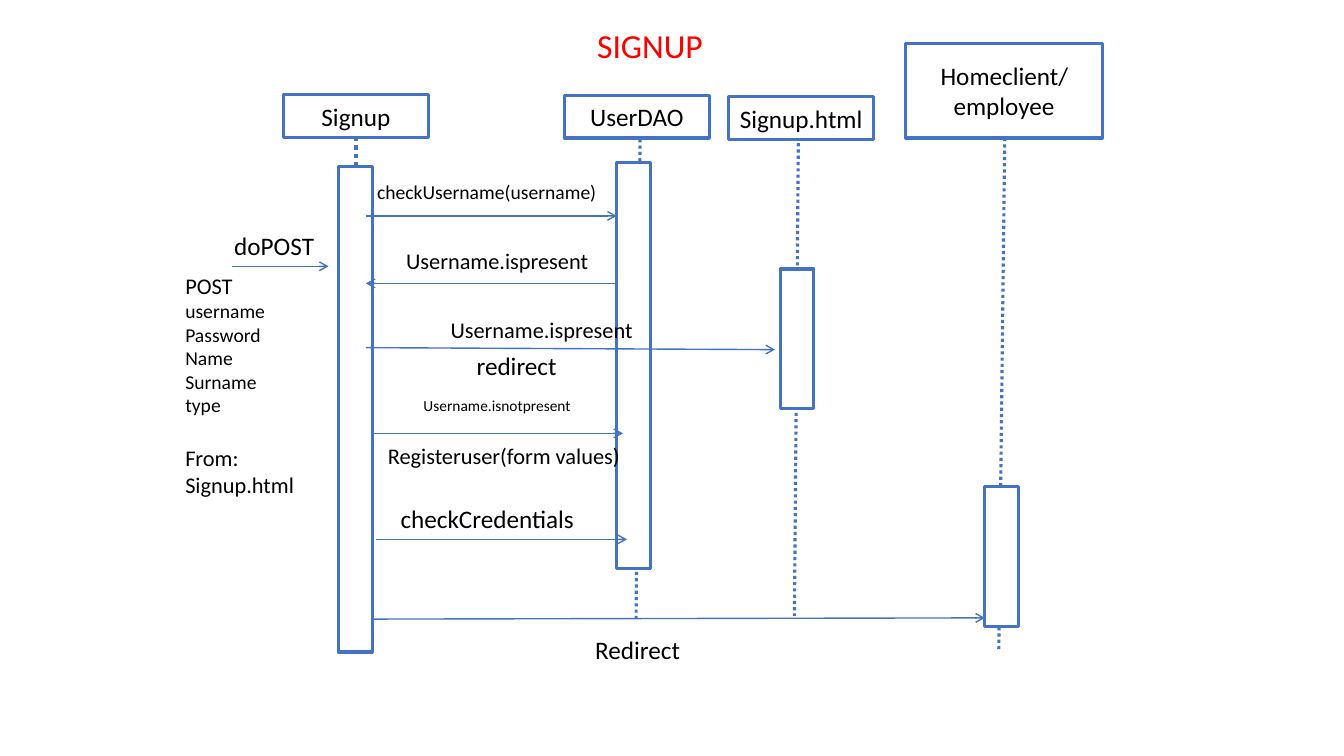
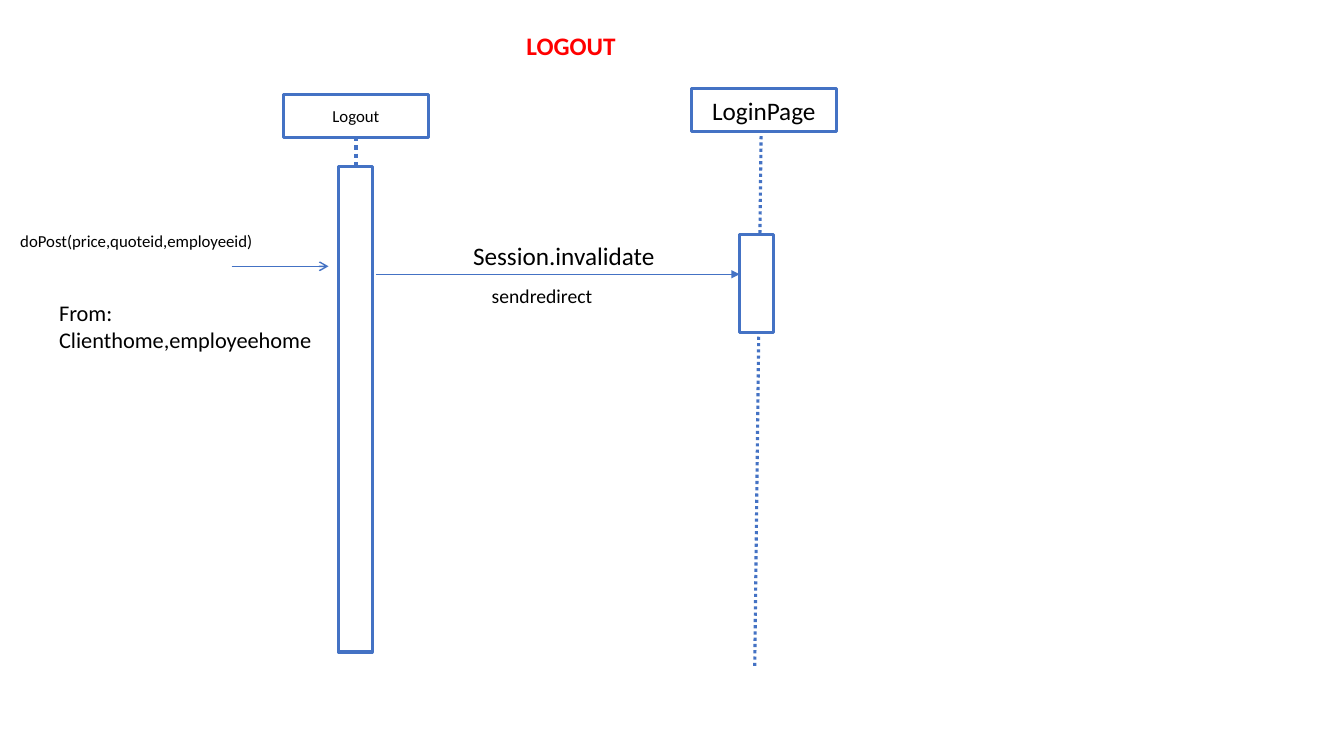
from lxml.etree import SubElement
from pptx import Presentation
from pptx.dml.color import RGBColor
from pptx.enum.dml import MSO_LINE
from pptx.enum.shapes import MSO_CONNECTOR, MSO_SHAPE
from pptx.enum.text import MSO_ANCHOR, PP_ALIGN
from pptx.oxml.ns import qn
from pptx.util import Cm, Pt

# Shared look, lengths in cm
FONT = "Calibri"
BLUE, RED, BLACK, WHITE = "4472C4", "FF0000", "000000", "FFFFFF"
HEAD_W, HEAD_H, BAR_W = 3.66, 1.07, 0.85
LABEL_W = 6.6
rgb = RGBColor.from_string


def write(tf, text, size=18, color=BLACK, bold=False, align=PP_ALIGN.CENTER, before=0, new=False):
    p = tf.add_paragraph() if new else tf.paragraphs[0]
    p.alignment = align
    if before:
        p.space_before = Pt(before)
    r = p.add_run()
    r.text = text
    r.font.name, r.font.size, r.font.bold = FONT, Pt(size), bold
    r.font.color.rgb = rgb(color)
    tf.word_wrap = True


def connect(s, x1, y1, x2, y2, width=1, head=None):
    cx = s.shapes.add_connector(MSO_CONNECTOR.STRAIGHT, Cm(x1), Cm(y1), Cm(x2), Cm(y2))
    cx.line.color.rgb = rgb(BLUE)
    cx.line.width = Pt(width)
    spPr = cx.element.spPr
    if head:
        SubElement(spPr.find(qn("a:ln")), qn("a:tailEnd"), type=head)
    else:
        cx.line.dash_style = MSO_LINE.ROUND_DOT
    SubElement(spPr, qn("a:effectLst"))


# Parts on both slides: servlet lifeline, servlet bar, incoming request
servlet_line = (8.97, 3.45, 8.97, 4.19, 3)
servlet_bar = (8.53, 4.19, BAR_W, 12.24)
request = (5.84, 6.71, 8.28, 6.71, 1, "arrow")

# heads: name, size, left, top, width, height; bars: left, top, width, height
# labels: text, size, centre, top; notes: text, size, space before
diagrams = [
    dict(
        title="SIGNUP", title_size=24, title_bold=False, title_centre=16.38,
        lifelines=[
            servlet_line,
            (16.13, 3.51, 16.03, 15.57, 2.25),
            (20.12, 3.45, 20.02, 15.52, 2.25),
            (25.32, 3.48, 25.17, 16.43, 2.25),
        ],
        heads=[
            ("Signup", 18, 7.14, 2.39, HEAD_W, HEAD_H),
            ("UserDAO", 18, 14.22, 2.41, HEAD_W, HEAD_H),
            ("Signup.html", 18, 18.36, 2.44, HEAD_W, HEAD_H),
            ("Homeclient/employee", 18, 22.83, 1.09, 4.95, 2.39),
        ],
        bars=[
            servlet_bar,
            (15.54, 4.09, BAR_W, 10.24),
            (19.66, 6.78, BAR_W, 3.51),
            (24.82, 12.27, BAR_W, 3.51),
        ],
        messages=[
            request,
            (9.22, 5.44, 15.54, 5.44, 1, "arrow"),
            (15.54, 7.14, 9.22, 7.14, 1, "arrow"),
            (9.22, 8.76, 19.53, 8.81, 1, "arrow"),
            (9.37, 10.92, 15.7, 10.92, 1, "arrow"),
            (9.47, 13.59, 15.8, 13.59, 1, "arrow"),
            (9.37, 15.6, 24.82, 15.57, 1, "arrow"),
        ],
        labels=[
            ("doPOST", 18, 6.91, 5.69),
            ("checkUsername(username)", 14, 12.27, 4.42),
            ("Username.ispresent", 16, 12.53, 6.1),
            ("Username.ispresent", 16, 13.65, 7.85),
            ("redirect", 18, 13.02, 8.71),
            ("Username.isnotpresent", 11, 12.53, 9.86),
            ("Registeruser(form values)", 16, 12.7, 11.02),
            ("checkCredentials", 18, 12.28, 12.55),
            ("Redirect", 18, 16.07, 15.85),
        ],
        notes_at=(4.42, 6.73, 3.96, 5.99),
        notes=[
            ("POST", 16, 0), ("username", 14, 0), ("Password", 14, 0), ("Name", 14, 0),
            ("Surname", 14, 0), ("type", 14, 0), ("From:", 16, 19.5), ("Signup.html", 16, 0),
        ],
    ),
    dict(
        title="LOGOUT", title_size=18, title_bold=True, title_centre=14.39,
        lifelines=[servlet_line, (19.18, 3.43, 19.02, 16.81, 2.25)],
        heads=[
            ("Logout", 12, 7.14, 2.39, HEAD_W, HEAD_H),
            ("LoginPage", 18, 17.42, 2.24, HEAD_W, HEAD_H),
        ],
        bars=[servlet_bar, (18.64, 5.92, BAR_W, 2.46)],
        messages=[request, (9.47, 6.91, 18.64, 6.91, 0.5, "triangle")],
        labels=[
            ("doPost(price,quoteid,employeeid)", 12, 3.44, 5.69),
            ("Session.invalidate", 18, 14.21, 5.94),
            ("sendredirect", 14, 13.66, 7.04),
        ],
        notes_at=(1.24, 7.42, 7.14, 1.62),
        notes=[("From: Clienthome,employeehome", 16, 0)],
    ),
]

prs = Presentation()
prs.slide_width, prs.slide_height = Cm(33.87), Cm(19.05)

for d in diagrams:
    s = prs.slides.add_slide(prs.slide_layouts[5])

    # Title
    title = s.shapes.title
    title.left, title.top = Cm(d["title_centre"] - LABEL_W / 2), Cm(0.5)
    title.width, title.height = Cm(LABEL_W), Cm(1.27)
    title.text_frame.vertical_anchor = MSO_ANCHOR.MIDDLE
    write(title.text_frame, d["title"], d["title_size"], RED, d["title_bold"])

    # Lifelines run behind the boxes
    for line in d["lifelines"]:
        connect(s, *line)

    # Participants and activation bars
    for name, size, *box in d["heads"] + [("", 18, *bar) for bar in d["bars"]]:
        sp = s.shapes.add_shape(MSO_SHAPE.RECTANGLE, *map(Cm, box))
        sp.shadow.inherit = False
        sp.fill.solid()
        sp.fill.fore_color.rgb = rgb(WHITE)
        sp.line.color.rgb = rgb(BLUE)
        sp.line.width = Pt(2.25)
        if name:
            sp.text_frame.vertical_anchor = MSO_ANCHOR.MIDDLE
            write(sp.text_frame, name, size)

    # Messages
    for message in d["messages"]:
        connect(s, *message)

    # Message labels
    for text, size, centre, top in d["labels"]:
        height = 0.25 + size * 0.04
        sp = s.shapes.add_textbox(Cm(centre - LABEL_W / 2), Cm(top), Cm(LABEL_W), Cm(height))
        write(sp.text_frame, text, size)

    # Request notes
    tf = s.shapes.add_textbox(*map(Cm, d["notes_at"])).text_frame
    for i, (text, size, before) in enumerate(d["notes"]):
        write(tf, text, size, align=PP_ALIGN.LEFT, before=before, new=i > 0)

prs.save("out.pptx")
